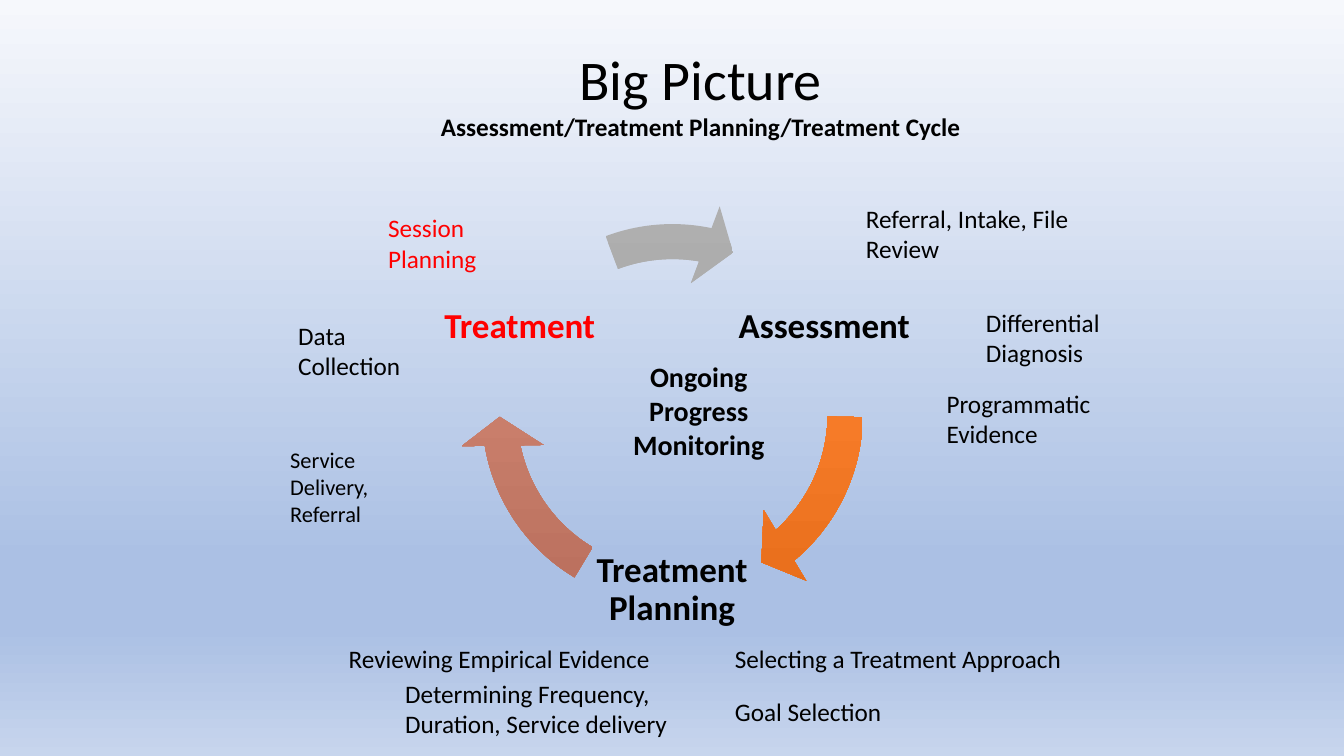
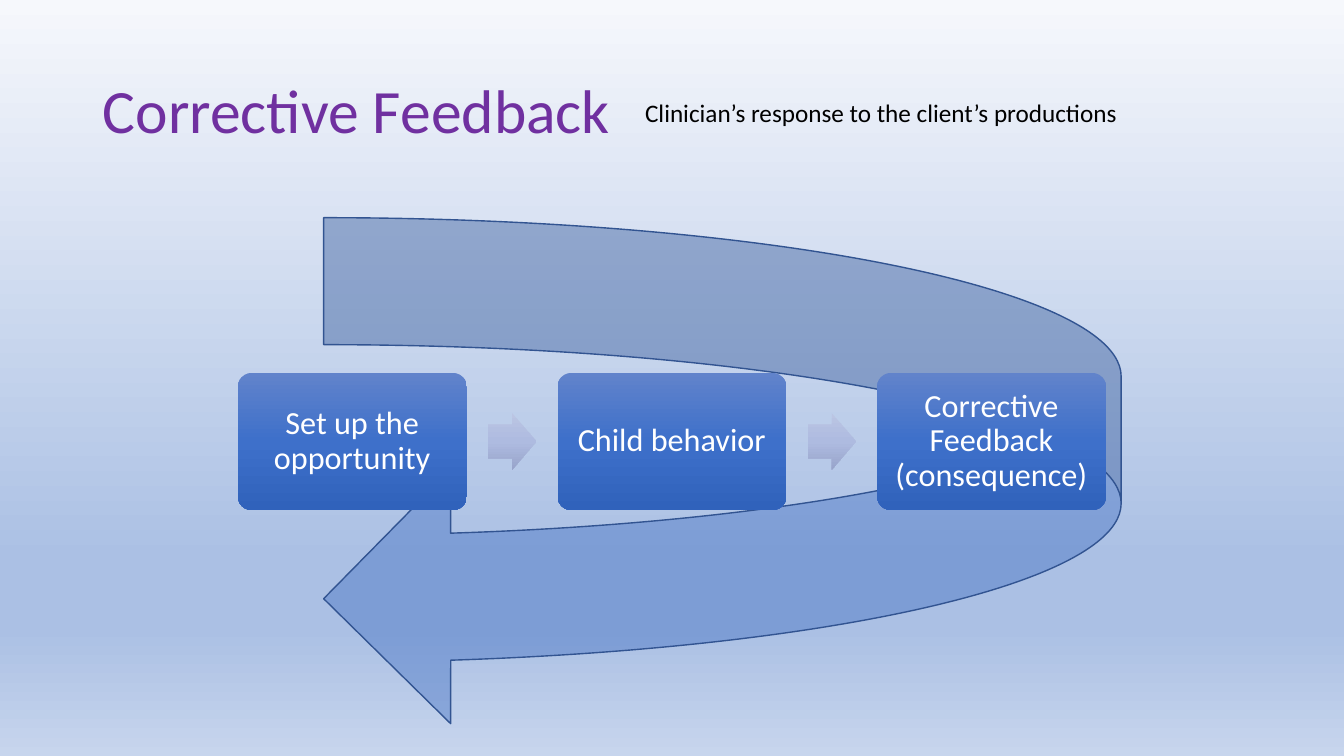
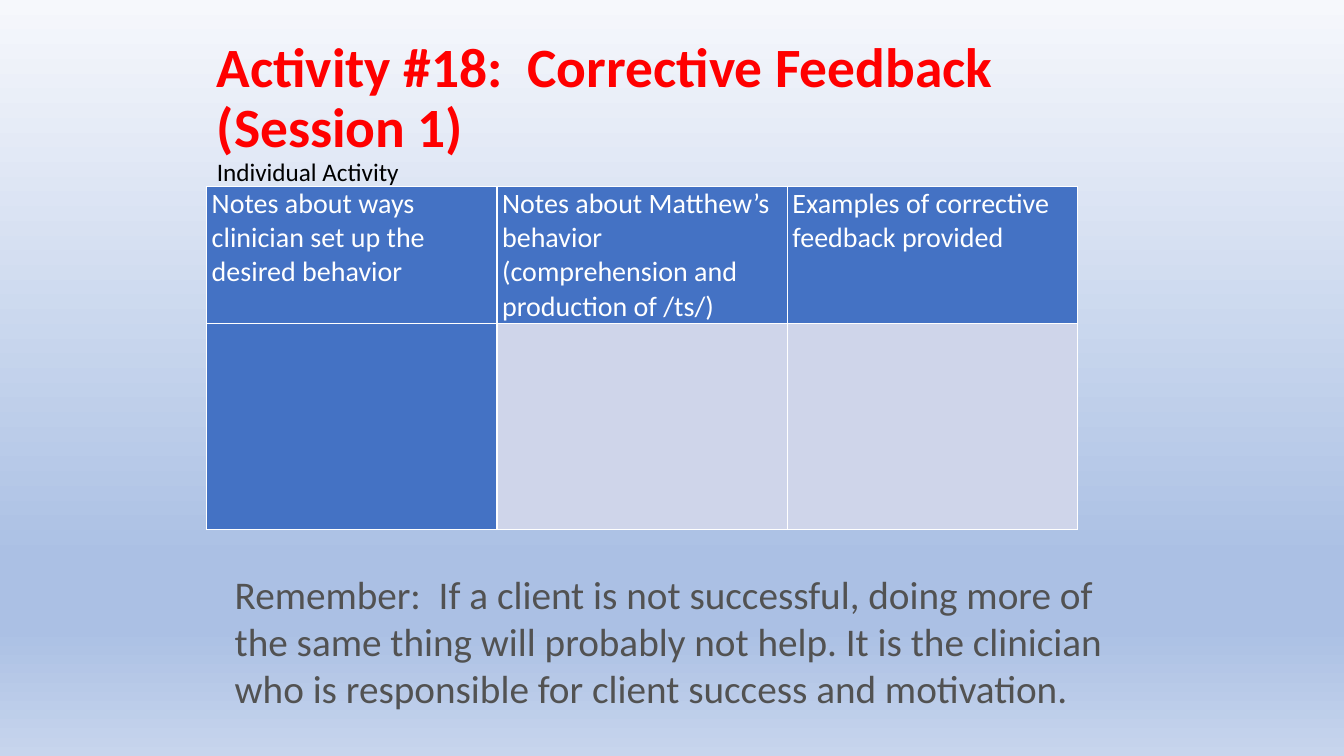
from lxml.etree import SubElement
from pptx import Presentation
from pptx.dml.color import RGBColor
from pptx.enum.shapes import MSO_SHAPE
from pptx.enum.text import MSO_ANCHOR, MSO_AUTO_SIZE, PP_ALIGN
from pptx.oxml.ns import qn
from pptx.util import Inches, Pt

BLACK = RGBColor(0x00, 0x00, 0x00)
WHITE = RGBColor(0xFF, 0xFF, 0xFF)
RED = RGBColor(0xFF, 0x00, 0x00)
PURPLE = RGBColor(0x70, 0x30, 0xA0)
GRAY = RGBColor(0x52, 0x52, 0x52)
BLUE = RGBColor(0x44, 0x72, 0xC4)
DARK_BLUE = RGBColor(0x32, 0x54, 0x91)
PALE_BLUE = RGBColor(0xCF, 0xD5, 0xEA)


def stops(*pairs):
    return [(position, RGBColor.from_string(color)) for position, color in pairs]


BACKDROP = stops((0, "F6F8FC"), (74, "ABC0E4"), (83, "ABC0E4"), (100, "C7D5ED"))
ORANGE_FADE = stops((0, "F18C57"), (50, "F67B28"), (100, "E56C19"))
CLAY_FADE = stops((0, "CB8F81"), (50, "C97E6B"), (100, "B76D5B"))
GRAY_FADE = stops((0, "AFAFAF"), (50, "A5A5A5"), (100, "939393"))
STEP_FADE = stops((0, "6183CB"), (50, "3E70CA"), (100, "3062BB"))
LINK_FADE = stops((0, "BBC5E3"), (50, "AEBBE0"), (100, "98A4CB"))

BODY = {"size": Pt(18)}
STAGE = {"size": Pt(25), "bold": True}
STEP = {"size": Pt(23), "color": WHITE}
HEADER = {"size": Pt(20), "color": WHITE}

CYCLE_TITLE = [
    ("Big Picture", {"size": Pt(40)}),
    ("Assessment/Treatment Planning/Treatment Cycle", {"size": Pt(18), "bold": True}),
]
CYCLE_BOX = (4.55, 1.99, 4.24, 4.24)
STAGE_SIZE = 1.79
STAGES = [
    ("Assessment", 7.28, 2.35, BLACK, ORANGE_FADE, 29.64, 0.52),
    ("Treatment Planning", 5.77, 4.96, BLACK, CLAY_FADE, 101.73, 72.6),
    ("Treatment", 4.26, 2.35, RED, GRAY_FADE, 168.57, 149.67),
]
CYCLE_NOTES = [
    ("Referral, Intake, File Review", (8.49, 1.97, 2.39, 0.71), BODY),
    ("Differential Diagnosis", (9.68, 3, 1.66, 0.71), BODY),
    ("Programmatic Evidence", (9.29, 3.8, 1.75, 0.71), BODY),
    ("Reviewing Empirical Evidence", (3.36, 6.33, 3.59, 0.4), BODY),
    ("Selecting a Treatment Approach", (7.19, 6.33, 3.85, 0.4), BODY),
    ("Determining Frequency, Duration, Service delivery", (3.92, 6.68, 3.27, 0.71), BODY),
    ("Goal Selection", (7.19, 6.86, 3.15, 0.4), BODY),
    ("Session Planning", (3.75, 2.06, 1.41, 0.71), {**BODY, "color": RED}),
    ("Data Collection", (2.86, 3.13, 1.4, 0.71), BODY),
    ("Service Delivery, Referral", (2.78, 4.38, 1.48, 0.91), {"size": Pt(16)}),
]
CYCLE_CENTER = "Ongoing Progress Monitoring"

FEEDBACK_TITLE = [("Corrective Feedback", {"size": Pt(44), "color": PURPLE})]
FEEDBACK_CAPTION = "Clinician’s response to the client’s productions"
STEPS = ["Set up the opportunity", "Child behavior", "Corrective Feedback (consequence)"]
STEP_LEFT, STEP_TOP, STEP_WIDTH, STEP_HEIGHT, STEP_GAP = 2.36, 3.7, 2.27, 1.36, 0.9
LINK_WIDTH, LINK_HEIGHT = 0.48, 0.56

ACTIVITY_TITLE = [
    ("Activity #18:  Corrective Feedback (Session 1)",
     {"size": Pt(39.6), "bold": True, "color": RED}),
    ("Individual Activity", BODY),
]
ACTIVITY_ROWS = [
    ["Notes about ways clinician set up the desired behavior",
     "Notes about Matthew’s behavior (comprehension and production of /ts/)",
     "Examples of corrective feedback provided"],
    ["", "", ""],
]
ROW_HEIGHTS = [1.36, 2.04]
COLUMN_WIDTH = 2.88
REMINDER = ("Remember:  If a client is not successful, doing more of the same thing "
            "will probably not help. It is the clinician who is responsible for "
            "client success and motivation.")


def place(box):
    return [Inches(length) for length in box]


def fade(fill, colors):
    fill.gradient()
    fill.gradient_angle = 270
    stop_list = fill._fill._gradFill.find(qn("a:gsLst"))
    for old_stop in list(stop_list):
        stop_list.remove(old_stop)
    for position, color in colors:
        stop = SubElement(stop_list, qn("a:gs"), pos=str(position * 1000))
        SubElement(stop, qn("a:srgbClr"), val=str(color))


def write(frame, lines, align=PP_ALIGN.LEFT, spacing=1.0):
    for index, (text, style) in enumerate(lines):
        paragraph = frame.paragraphs[0] if index == 0 else frame.add_paragraph()
        paragraph.alignment = align
        paragraph.line_spacing = spacing
        run = paragraph.add_run()
        run.text = text
        values = {"name": "Calibri", "bold": False, "color": BLACK, **style}
        run.font.color.rgb = values.pop("color")
        for name, value in values.items():
            setattr(run.font, name, value)


def set_frame(frame, anchor, margin=None):
    frame.word_wrap = True
    frame.auto_size = MSO_AUTO_SIZE.NONE
    frame.vertical_anchor = anchor
    if margin is not None:
        for side in ("left", "top", "right", "bottom"):
            setattr(frame, f"margin_{side}", Inches(margin))


def add_text(slide, box, text, style, align=PP_ALIGN.LEFT, spacing=1.0,
             anchor=MSO_ANCHOR.TOP, margin=None):
    frame = slide.shapes.add_textbox(*place(box)).text_frame
    set_frame(frame, anchor, margin)
    write(frame, [(text, style)], align, spacing)


def add_figure(slide, kind, box, colors=None, adjustments=()):
    figure = slide.shapes.add_shape(kind, *place(box))
    figure.shadow.inherit = False
    for index, value in enumerate(adjustments):
        figure.adjustments[index] = value
    if colors:
        fade(figure.fill, colors)
        figure.line.fill.background()
    return figure


def add_titled_slide(deck, box, lines, align=PP_ALIGN.LEFT, spacing=0.9,
                     anchor=MSO_ANCHOR.MIDDLE):
    slide = deck.slides.add_slide(deck.slide_layouts[5])
    title = slide.shapes.title
    title.left, title.top, title.width, title.height = place(box)
    set_frame(title.text_frame, anchor)
    write(title.text_frame, lines, align, spacing)
    return slide


def build_cycle(deck):
    slide = add_titled_slide(deck, (2.86, 0.39, 8.18, 1.08), CYCLE_TITLE,
                             PP_ALIGN.CENTER, 1.0, MSO_ANCHOR.TOP)
    for name, left, top, color, colors, end, start in STAGES:
        add_text(slide, (left, top, STAGE_SIZE, STAGE_SIZE), name,
                 {**STAGE, "color": color}, PP_ALIGN.CENTER, 0.9,
                 MSO_ANCHOR.MIDDLE, 0.03)
        add_figure(slide, MSO_SHAPE.CIRCULAR_ARROW, CYCLE_BOX, colors,
                   (0.082, 5.76, end, start, 0.096))
    add_text(slide, (5.97, 3.52, 1.92, 1.11), CYCLE_CENTER,
             {"size": Pt(20), "bold": True}, PP_ALIGN.CENTER)
    for note, box, style in CYCLE_NOTES:
        add_text(slide, box, note, style)


def build_feedback(deck):
    slide = add_titled_slide(deck, (0.92, 0.4, 11.5, 1.45), FEEDBACK_TITLE)
    loop = add_figure(slide, MSO_SHAPE.CURVED_LEFT_ARROW, (3.21, 2.16, 7.91, 5.04))
    loop.fill.solid()
    loop.fill.fore_color.rgb = BLUE
    loop_color = loop.fill._xPr.find(qn("a:solidFill")).find(qn("a:srgbClr"))
    SubElement(loop_color, qn("a:alpha"), val="44000")
    loop.line.color.rgb = DARK_BLUE
    loop.line.width = Pt(1)
    for index, step in enumerate(STEPS):
        left = STEP_LEFT + index * (STEP_WIDTH + STEP_GAP)
        card = add_figure(slide, MSO_SHAPE.ROUNDED_RECTANGLE,
                          (left, STEP_TOP, STEP_WIDTH, STEP_HEIGHT), STEP_FADE, (0.1,))
        set_frame(card.text_frame, MSO_ANCHOR.MIDDLE, 0.14)
        write(card.text_frame, [(step, STEP)], PP_ALIGN.CENTER, 0.9)
        if index:
            link_left = left - (STEP_GAP + LINK_WIDTH) / 2
            link_top = STEP_TOP + (STEP_HEIGHT - LINK_HEIGHT) / 2
            add_figure(slide, MSO_SHAPE.RIGHT_ARROW,
                       (link_left, link_top, LINK_WIDTH, LINK_HEIGHT), LINK_FADE, (0.6, 0.5))
    add_text(slide, (6.3, 0.92, 5, 0.4), FEEDBACK_CAPTION, BODY)


def format_cell(cell, color):
    properties = cell._tc.get_or_add_tcPr()
    for side in ("lnL", "lnR", "lnT", "lnB"):
        border = SubElement(properties, qn(f"a:{side}"), w=str(Pt(1)))
        SubElement(SubElement(border, qn("a:solidFill")), qn("a:srgbClr"), val=str(WHITE))
    cell.fill.solid()
    cell.fill.fore_color.rgb = color
    cell.margin_left = cell.margin_right = Inches(0.05)
    cell.margin_top = cell.margin_bottom = 0


def build_activity(deck):
    slide = add_titled_slide(deck, (2.05, 0.4, 9.25, 1.45), ACTIVITY_TITLE)
    columns = len(ACTIVITY_ROWS[0])
    box = (2.05, 1.85, COLUMN_WIDTH * columns, sum(ROW_HEIGHTS))
    table = slide.shapes.add_table(len(ACTIVITY_ROWS), columns, *place(box)).table
    table.first_row = table.horz_banding = False
    for column in table.columns:
        column.width = Inches(COLUMN_WIDTH)
    for row_index, texts in enumerate(ACTIVITY_ROWS):
        table.rows[row_index].height = Inches(ROW_HEIGHTS[row_index])
        for column_index, text in enumerate(texts):
            cell = table.cell(row_index, column_index)
            format_cell(cell, PALE_BLUE if row_index and column_index else BLUE)
            if text:
                write(cell.text_frame, [(text, HEADER)])
    add_text(slide, (2.23, 5.61, 9.23, 1.51), REMINDER, {"size": Pt(28), "color": GRAY})


def main():
    deck = Presentation()
    deck.slide_width, deck.slide_height = Inches(13.33), Inches(7.5)
    fade(deck.slide_master.background.fill, BACKDROP)
    for build in (build_cycle, build_feedback, build_activity):
        build(deck)
    deck.save("out.pptx")


if __name__ == "__main__":
    main()
